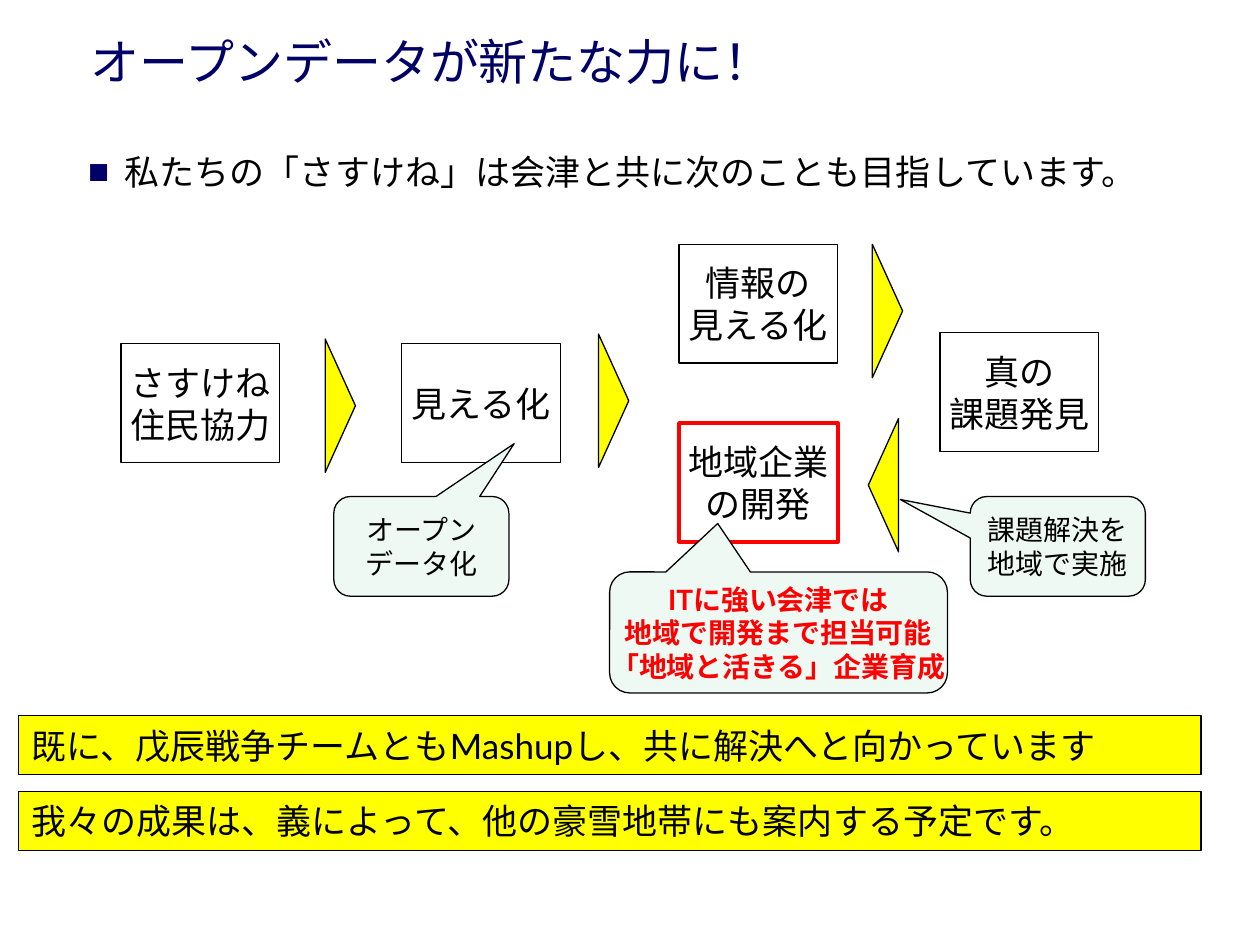
from dataclasses import dataclass

from lxml import etree
from pptx import Presentation
from pptx.dml.color import RGBColor
from pptx.enum import shapes, text
from pptx.oxml import ns
from pptx.util import Cm, Pt


@dataclass(frozen=True)
class Theme:
    font: str = "Lato"
    navy: str = "000066"
    black: str = "000000"
    white: str = "FFFFFF"
    red: str = "FF0000"
    yellow: str = "FFFF00"
    mint: str = "EEF9F4"
    title_size: int = 28
    text_size: int = 20
    note_size: int = 16
    thin: float = 0.75
    thick: float = 2.25


theme = Theme()


def write(frame, words, size, color, align=text.PP_ALIGN.LEFT, bold=False):
    """Put one formatted paragraph, with its line breaks, into a text frame."""
    paragraph = frame.paragraphs[0]
    paragraph.text = words.replace("\n", "\v")
    paragraph.alignment = align
    font = paragraph.font
    font.name, font.size, font.bold = theme.font, Pt(size), bold
    font.color.rgb = RGBColor.from_string(color)


def add_outlined(kind, left, top, width, height, fill, line=theme.black, weight=theme.thin):
    """Add a filled, outlined, shadowless shape measured in centimetres."""
    shape = slide.shapes.add_shape(kind, Cm(left), Cm(top), Cm(width), Cm(height))
    shape.shadow.inherit = False
    shape.fill.solid()
    shape.fill.fore_color.rgb = RGBColor.from_string(fill)
    shape.line.color.rgb = RGBColor.from_string(line)
    shape.line.width = Pt(weight)
    return shape


deck = Presentation()
deck.slide_width, deck.slide_height = Cm(25.4), Cm(19.05)
slide = deck.slides.add_slide(deck.slide_layouts[1])

# Title and lead sentence
title, lead = slide.placeholders
title.left, title.top, title.width, title.height = Cm(1.57), Cm(0.03), Cm(23.83), Cm(2.39)
title.text_frame.vertical_anchor = text.MSO_ANCHOR.MIDDLE
write(title.text_frame, "オープンデータが新たな力に！", theme.title_size, theme.navy)

lead.left, lead.top, lead.width, lead.height = Cm(1.52), Cm(2.9), Cm(22.86), Cm(14.83)
lead.text_frame.auto_size = text.MSO_AUTO_SIZE.NONE
lead_format = lead.text_frame.paragraphs[0]._p.get_or_add_pPr()
lead_format.set("marL", str(Cm(0.74)))
lead_format.set("indent", str(-Cm(0.74)))
bullet_color = etree.SubElement(lead_format, ns.qn("a:buClr"))
etree.SubElement(bullet_color, ns.qn("a:srgbClr"), val=theme.navy)
etree.SubElement(lead_format, ns.qn("a:buFont"), typeface="Arial")
etree.SubElement(lead_format, ns.qn("a:buChar"), char="■")
write(lead.text_frame, "私たちの「さすけね」は会津と共に次のことも目指しています。",
      theme.text_size, theme.black)

# Steps of the flow
steps = [
    ("さすけね\n住民協力", 2.44, 6.93, theme.black, theme.thin),
    ("見える化", 8.1, 6.93, theme.black, theme.thin),
    ("情報の\n見える化", 13.69, 4.93, theme.black, theme.thin),
    ("地域企業\nの開発", 13.69, 8.53, theme.red, theme.thick),
    ("真の\n課題発見", 18.95, 6.71, theme.black, theme.thin),
]
for words, left, top, line, weight in steps:
    step = add_outlined(shapes.MSO_SHAPE.RECTANGLE, left, top, 3.2, 2.39,
                        theme.white, line, weight)
    step.text_frame.word_wrap = False
    write(step.text_frame, words, theme.text_size, theme.black, text.PP_ALIGN.CENTER)

# Triangles between the steps, placed by their centres
base, depth = 2.69, 0.61
for center_x, center_y, turn in [(6.86, 8.18, 90), (12.37, 8.08, 90),
                                 (17.89, 6.27, 90), (17.81, 9.78, 270)]:
    pointer = add_outlined(shapes.MSO_SHAPE.ISOSCELES_TRIANGLE, center_x - base / 2,
                           center_y - depth / 2, base, depth, theme.yellow)
    pointer.rotation = turn

# Remarks: place and size, then where the tail points
remarks = [
    ("オープン\nデータ化", (6.73, 10.01, 3.53, 2.01), (0.53, -1.03), theme.black, False),
    ("課題解決を\n地域で実施", (19.56, 10.01, 3.53, 2.01), (-0.9, -0.47), theme.black, False),
    ("ITに強い会津では\n地域で開発まで担当可能\n「地域と活きる」企業育成",
     (12.29, 11.53, 6.81, 2.44), (-0.18, -0.9), theme.red, True),
]
for words, place, tail, color, bold in remarks:
    remark = add_outlined(shapes.MSO_SHAPE.ROUNDED_RECTANGULAR_CALLOUT, *place, theme.mint)
    remark.adjustments[0], remark.adjustments[1] = tail
    remark.text_frame.word_wrap = False
    write(remark.text_frame, words, theme.note_size, color, text.PP_ALIGN.CENTER, bold)

# Closing statements
closings = ["既に、戊辰戦争チームともMashupし、共に解決へと向かっています",
            "我々の成果は、義によって、他の豪雪地帯にも案内する予定です。"]
for row, words in enumerate(closings):
    closing = add_outlined(shapes.MSO_SHAPE.RECTANGLE, 0.38, 14.43 + row * 1.52,
                           23.83, 1.19, theme.yellow)
    write(closing.text_frame, words, theme.text_size, theme.black)

deck.save("out.pptx")
